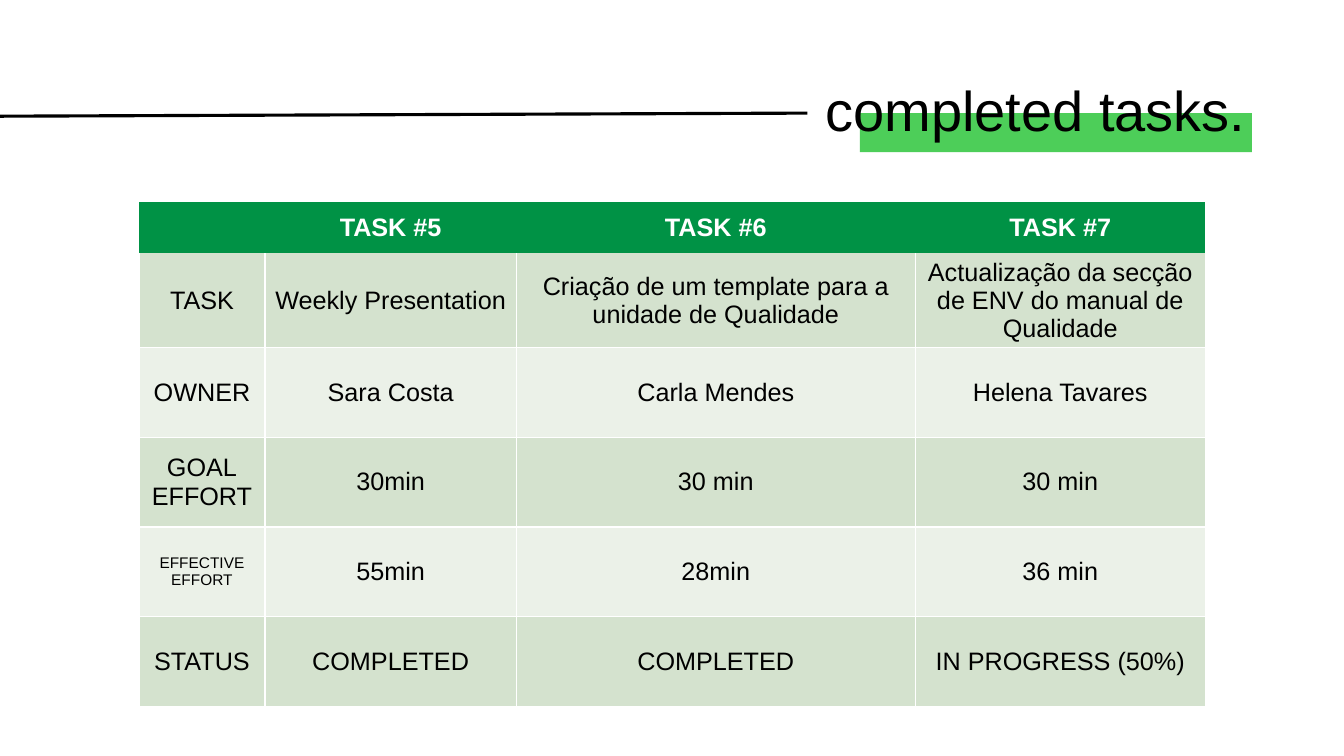
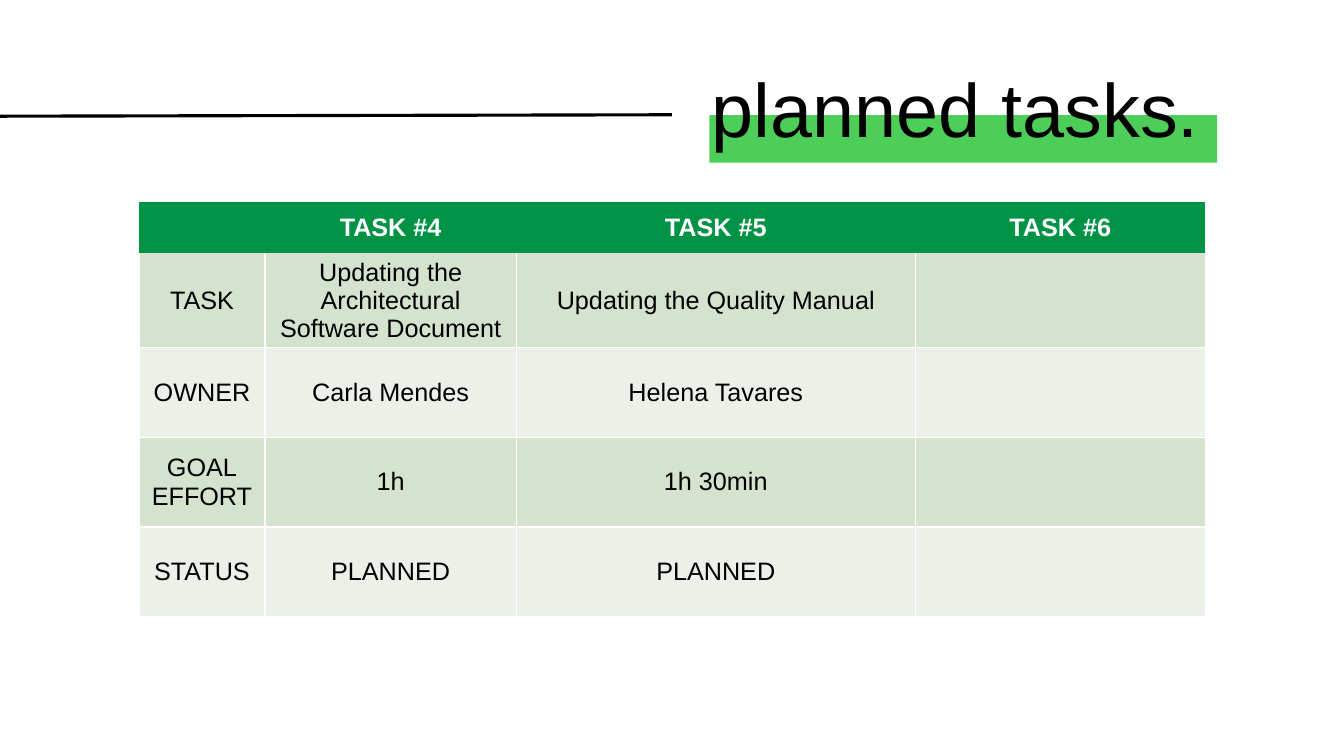
from pptx import Presentation
from pptx.dml.color import RGBColor
from pptx.enum import shapes, text
from pptx.oxml import parse_xml
from pptx.oxml.ns import nsdecls
from pptx.util import Pt

# Shared look
FONT = "Arial"
BLACK, WHITE = "000000", "FFFFFF"
HIGHLIGHT, HEADER = "4DCE59", "009245"
BANDS = ("D4E2CE", "EBF1E8")
NO_STYLE = "{2D5ABB26-0587-4C30-8999-92F81FD0307C}"
TABLE_LEFT, TABLE_TOP = 99.3, 144
COLUMN_WIDTHS = (90, 179.5, 285, 207.1)
HEADER_HEIGHT, ROW_HEIGHT = 36.8, 64
TEXT_SIZE, SMALL_SIZE = 18, 11

COMPLETED = [
    ["", "TASK #5", "TASK #6", "TASK #7"],
    ["TASK", "Weekly Presentation",
     "Criação de um template para a unidade de Qualidade",
     "Actualização da secção de ENV do manual de Qualidade"],
    ["OWNER", "Sara Costa", "Carla Mendes", "Helena Tavares"],
    ["GOAL\nEFFORT", "30min", "30 min", "30 min"],
    ["EFFECTIVE EFFORT", "55min", "28min", "36 min"],
    ["STATUS", "COMPLETED", "COMPLETED", "IN PROGRESS (50%)"],
]
PLANNED = [
    ["", "TASK #4", "TASK #5", "TASK #6"],
    ["TASK", "Updating the Architectural Software Document",
     "Updating the Quality Manual", ""],
    ["OWNER", "Carla Mendes", "Helena Tavares", ""],
    ["GOAL\nEFFORT", "1h", "1h 30min", ""],
    ["STATUS", "PLANNED", "PLANNED", ""],
]


def rgb(value):
    return RGBColor.from_string(value)


def set_font(p, size, color, bold=False):
    p.font.name = FONT
    p.font.size = Pt(size)
    p.font.bold = bold
    p.font.color.rgb = rgb(color)
    for r in p.runs:
        r.font.name = FONT
        r.font.size = Pt(size)
        r.font.bold = bold
        r.font.color.rgb = rgb(color)


def add_highlight(s, left, top, width, height):
    bar = s.shapes.add_shape(shapes.MSO_SHAPE.RECTANGLE,
                             Pt(left), Pt(top), Pt(width), Pt(height))
    bar.shadow.inherit = False
    bar.fill.solid()
    bar.fill.fore_color.rgb = rgb(HIGHLIGHT)
    bar.line.fill.background()


def add_rule(s, end_x, end_y):
    rule = s.shapes.add_connector(shapes.MSO_CONNECTOR.STRAIGHT,
                                  Pt(0), Pt(83), Pt(end_x), Pt(end_y))
    rule.line.color.rgb = rgb(BLACK)
    rule.line.width = Pt(2.25)
    rule._element.spPr.append(parse_xml(f"<a:effectLst {nsdecls('a')}/>"))


def set_title(s, wording, left, width, size):
    title = s.shapes.title
    title.left, title.top = Pt(left), Pt(28.8)
    title.width, title.height = Pt(width), Pt(104.4)
    tf = title.text_frame
    tf.text = wording
    tf.word_wrap = True
    tf.auto_size = text.MSO_AUTO_SIZE.NONE
    tf.vertical_anchor = text.MSO_ANCHOR.MIDDLE
    p = tf.paragraphs[0]
    p.alignment = text.PP_ALIGN.LEFT
    p.line_spacing = 0.9
    set_font(p, size, BLACK)
    # Bring the title in front of its highlight
    s.shapes._spTree.append(title._element)


def add_borders(cell, sides):
    tcPr = cell._tc.get_or_add_tcPr()
    for side in sides:
        tcPr.append(parse_xml(
            f'<a:ln{side} {nsdecls("a")} w="{Pt(1)}"><a:solidFill>'
            f'<a:srgbClr val="{WHITE}"/></a:solidFill></a:ln{side}>'))


def fill_cell(cell, wording, row):
    is_header = row == 0
    if not is_header:
        add_borders(cell, "LRB" if row == 1 else "LRTB")
    cell.fill.solid()
    cell.fill.fore_color.rgb = rgb(HEADER if is_header else BANDS[(row - 1) % 2])
    cell.vertical_anchor = text.MSO_ANCHOR.MIDDLE
    cell.text_frame.text = wording
    size = SMALL_SIZE if wording == "EFFECTIVE EFFORT" else TEXT_SIZE
    for p in cell.text_frame.paragraphs:
        p.alignment = text.PP_ALIGN.CENTER
        set_font(p, size, WHITE if is_header else BLACK, is_header)


def add_task_table(s, rows):
    height = HEADER_HEIGHT + ROW_HEIGHT * (len(rows) - 1)
    frame = s.shapes.add_table(len(rows), len(COLUMN_WIDTHS),
                               Pt(TABLE_LEFT), Pt(TABLE_TOP),
                               Pt(sum(COLUMN_WIDTHS)), Pt(height))
    table = frame.table
    table.horz_banding = False
    table._tbl.tblPr[0].text = NO_STYLE
    for column, width in zip(table.columns, COLUMN_WIDTHS):
        column.width = Pt(width)
    for i, values in enumerate(rows):
        table.rows[i].height = Pt(ROW_HEIGHT if i else HEADER_HEIGHT)
        for j, wording in enumerate(values):
            fill_cell(table.cell(i, j), wording, i)


def add_task_slide(prs, rows, highlight, rule_end, title):
    s = prs.slides.add_slide(prs.slide_layouts[5])
    add_highlight(s, *highlight)
    add_task_table(s, rows)
    add_rule(s, *rule_end)
    set_title(s, *title)


def main():
    prs = Presentation()
    prs.slide_width, prs.slide_height = Pt(960), Pt(540)

    # Completed tasks
    add_task_slide(prs, COMPLETED, highlight=(614.2, 80.8, 280, 28),
                   rule_end=(576.7, 80.8),
                   title=("completed tasks.", 582.5, 334.8, 40))
    # Planned tasks
    add_task_slide(prs, PLANNED, highlight=(506.7, 82.2, 362.7, 34),
                   rule_end=(480, 82),
                   title=("planned tasks.", 501.1, 392.4, 54))
    prs.save("out.pptx")


if __name__ == "__main__":
    main()
